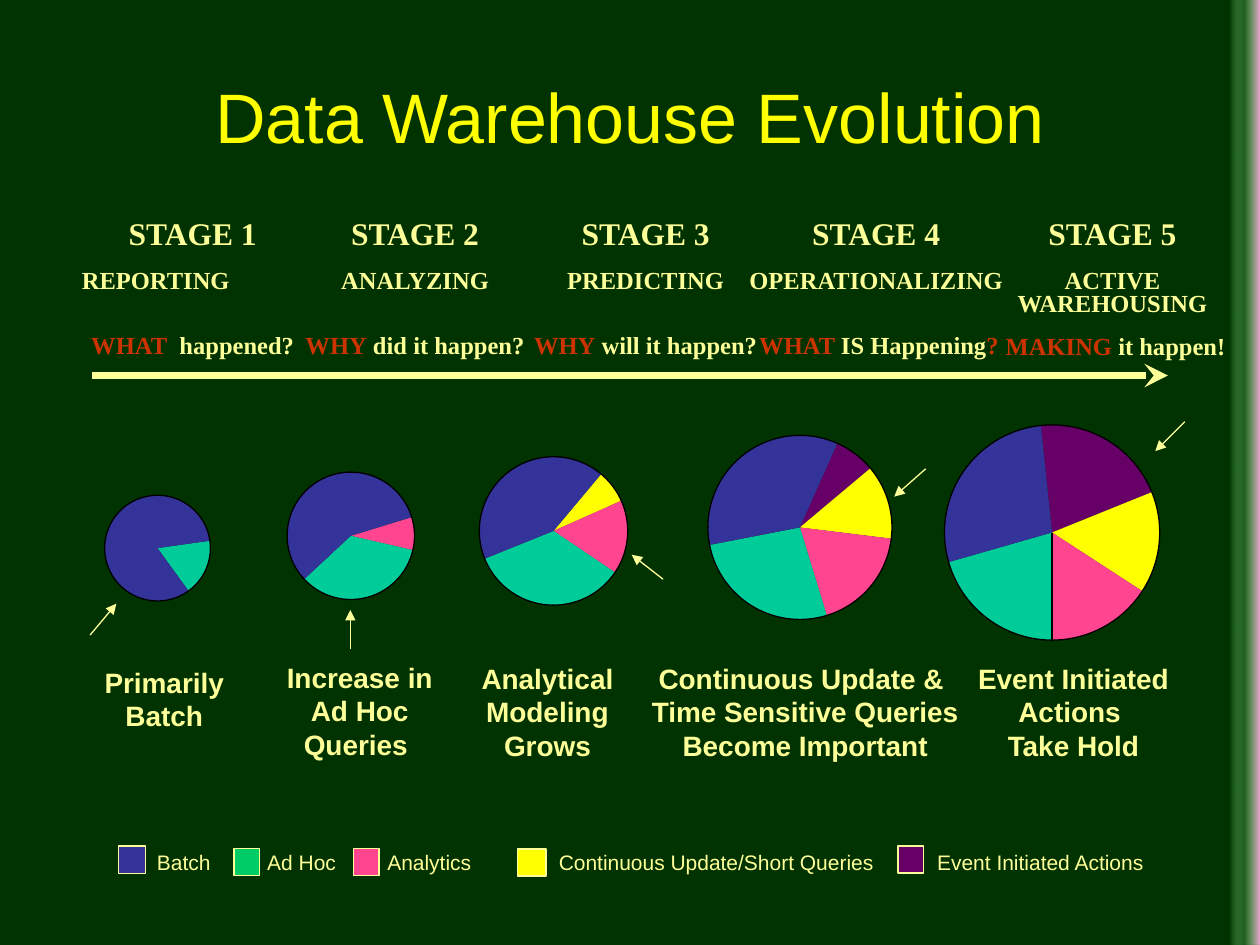
"""Builds the Data Warehouse Evolution slide."""
from lxml.etree import SubElement
from pptx import Presentation
from pptx.dml.color import RGBColor
from pptx.enum.shapes import MSO_CONNECTOR, MSO_SHAPE
from pptx.enum.text import MSO_ANCHOR, PP_ALIGN
from pptx.oxml import parse_xml
from pptx.oxml.ns import nsdecls, qn
from pptx.util import Pt

COLORS = {
    "ground": "003300", "cream": "FFFF99", "title": "FFFF00", "red": "CC3300",
    "batch": "333399", "ad hoc": "00CC99", "ad hoc key": "00CC66",
    "analytics": "FF4590", "update": "FFFF00", "event": "660066", "black": "000000",
}
COLORS = {name: RGBColor.from_string(value) for name, value in COLORS.items()}
STAGE_FONT = {"name": "Times New Roman", "size": Pt(18), "bold": True}
DETAIL_FONT = STAGE_FONT | {"size": Pt(14)}
CAPTION_FONT = {"name": "Arial", "size": Pt(16), "bold": True}
KEY_FONT = {"name": "Arial", "size": Pt(12), "bold": False}
TITLE_FONT = {"name": "Arial", "size": Pt(40), "bold": False}


def add_spans(para, spans, font, align=PP_ALIGN.CENTER):
    para.alignment = align
    for text, color in spans:
        span = para.add_run()
        span.text = text
        span.font.color.rgb = COLORS[color]
        for key, value in font.items():
            setattr(span.font, key, value)


def add_line(start, end, color, width, head=None):
    line = page.shapes.add_connector(MSO_CONNECTOR.STRAIGHT, *map(Pt, start + end))
    line.line.color.rgb = COLORS[color]
    line.line.width = Pt(width)
    if head:
        SubElement(line.line._get_or_add_ln(), qn("a:tailEnd"), type=head)
    SubElement(line._element.spPr, qn("a:effectLst"))


deck = Presentation()
deck.slide_width, deck.slide_height = Pt(720), Pt(540)
page = deck.slides.add_slide(deck.slide_layouts[5])
page.background.fill.solid()
page.background.fill.fore_color.rgb = COLORS["ground"]

title = page.shapes.title
title.left, title.top, title.width, title.height = Pt(54), Pt(18), Pt(612), Pt(96)
title.text_frame.vertical_anchor = MSO_ANCHOR.MIDDLE
add_spans(title.text_frame.paragraphs[0], [("Data Warehouse Evolution", "title")], TITLE_FONT)

band = page.shapes.add_shape(MSO_SHAPE.RECTANGLE, Pt(701.3), 0, Pt(18.7), Pt(540))
band.shadow.inherit = False
band.line.fill.background()
stops = "".join(
    f'<a:gs pos="{place * 1000}"><a:srgbClr val="{color}">'
    f'<a:alpha val="{alpha * 1000}"/></a:srgbClr></a:gs>'
    for place, color, alpha in [(0, "FFA3DF", 100), (50, "99FF99", 20), (94, "003300", 83)]
)
band._element.spPr.find(qn("a:prstGeom")).addnext(parse_xml(
    f'<a:gradFill {nsdecls("a")}><a:gsLst>{stops}</a:gsLst>'
    '<a:lin ang="10800000" scaled="0"/></a:gradFill>'
))

pies = [
    (90, 313.2, 30.2, [("ad hoc", -8), ("batch", 54)]),
    (200.5, 306.2, 36.4, [("analytics", -17), ("ad hoc", 13), ("batch", 137)]),
    (316.3, 303.4, 42.4, [("update", -50), ("analytics", -24), ("ad hoc", 34), ("batch", 158)]),
    (457.1, 301.4, 52.6, [("event", -66), ("update", -40), ("analytics", 7),
                          ("ad hoc", 73), ("batch", 169)]),
    (601.2, 304.3, 61.5, [("event", -96), ("update", -22), ("analytics", 33),
                          ("ad hoc", 90), ("batch", 164)]),
]
for center_x, center_y, radius, slices in pies:
    frame = [Pt(size) for size in (center_x - radius, center_y - radius, 2 * radius, 2 * radius)]
    for index, (kind, start) in enumerate(slices):
        end = slices[(index + 1) % len(slices)][1]
        wedge = page.shapes.add_shape(MSO_SHAPE.PIE, *frame)
        wedge.adjustments[0] = start % 360 * 0.6
        wedge.adjustments[1] = end % 360 * 0.6
        wedge.shadow.inherit = False
        wedge.fill.solid()
        wedge.fill.fore_color.rgb = COLORS[kind]
        wedge.line.fill.background()
    rim = page.shapes.add_shape(MSO_SHAPE.OVAL, *frame)
    rim.shadow.inherit = False
    rim.fill.background()
    rim.line.color.rgb = COLORS["black"]
    rim.line.width = Pt(0.75)
add_line((601.2, 304.3), (601.2, 365.8), "black", 0.75)

captions = [
    (33.8, 376.6, 120.2, ["Primarily Batch"]),
    (154.8, 373.7, 101.5, ["Increase in Ad Hoc Queries "]),
    (258.5, 374.4, 108.7, ["Analytical Modeling", "Grows"]),
    (363.6, 374.4, 193, ["Continuous Update & ", "Time Sensitive Queries Become Important"]),
    (544.3, 374.4, 138.2, ["Event Initiated Actions ", "Take Hold"]),
]
for left, top, width, lines in captions:
    box = page.shapes.add_textbox(Pt(left), Pt(top), Pt(width), Pt(64.8)).text_frame
    box.word_wrap = True
    for index, text in enumerate(lines):
        para = box.add_paragraph() if index else box.paragraphs[0]
        add_spans(para, [(text, "cream")], CAPTION_FONT)

stages = [
    (36, 148.3, "REPORTING", [("WHAT", "red"), ("  happened?", "cream")]),
    (151.9, 170.6, "ANALYZING", [("WHY", "red"), (" did it happen?", "cream")]),
    (294.5, 149, "PREDICTING", [("WHY", "red"), (" will it happen?", "cream")]),
    (415.4, 170.6, "OPERATIONALIZING",
     [(" WHAT ", "red"), ("IS Happening", "cream"), ("?", "red")]),
    (551.5, 168.5, "ACTIVE WAREHOUSING", [(" MAKING", "red"), (" it happen!", "cream")]),
]
for number, (left, width, activity, question) in enumerate(stages, 1):
    box = page.shapes.add_textbox(Pt(left), Pt(123.8), Pt(width), Pt(86.4)).text_frame
    box.word_wrap = True
    rows = [
        ([(f"STAGE {number}", "cream")], STAGE_FONT, 0),
        ([(activity, "cream")], DETAIL_FONT, 12.1),
        (question, DETAIL_FONT, 12.1 if number == 5 else 24.2),
    ]
    for index, (spans, font, gap) in enumerate(rows):
        para = box.add_paragraph() if index else box.paragraphs[0]
        para.line_spacing = 0.75
        para.space_before = Pt(gap)
        shifted = activity == "REPORTING" and index == 1
        add_spans(para, spans, font, PP_ALIGN.LEFT if shifted else PP_ALIGN.CENTER)
        if shifted:
            para._p.get_or_add_pPr().set("marL", str(Pt(3.7)))

add_line((52.6, 214.6), (667.4, 214.6), "cream", 4.5, "stealth")
pointers = [
    ((51.5, 362.9), (66.5, 345)),
    ((200.2, 370.6), (200.2, 348.6)),
    ((378.9, 331), (361, 317)),
    ((529, 267.9), (511, 283.8)),
    ((677, 241), (660.2, 257.8)),
]
for start, end in pointers:
    add_line(start, end, "cream", 0.75, "triangle")

keys = [
    ("Batch", "batch", 67.7, 483.6, 15.5, 89.7),
    ("Ad Hoc", "ad hoc key", 133.7, 484.8, 14.6, 152.7),
    ("Analytics", "analytics", 202, 484.8, 14.6, 221.3),
    ("Continuous Update/Short Queries", "update", 295.7, 485.1, 16.2, 319.3),
    ("Event Initiated Actions", "event", 513.2, 483.3, 14.5, 535.5),
]
for label, kind, left, top, width, text_left in keys:
    swatch = page.shapes.add_shape(MSO_SHAPE.RECTANGLE, Pt(left), Pt(top), Pt(width), Pt(15.5))
    swatch.shadow.inherit = False
    swatch.fill.solid()
    swatch.fill.fore_color.rgb = COLORS[kind]
    swatch.line.color.rgb = COLORS["cream"]
    swatch.line.width = Pt(1)
    box = page.shapes.add_textbox(Pt(text_left), Pt(482), Pt(190), Pt(21.6)).text_frame
    box.word_wrap = True
    box.margin_left = box.margin_right = 0
    box.vertical_anchor = MSO_ANCHOR.MIDDLE
    add_spans(box.paragraphs[0], [(label, "cream")], KEY_FONT, PP_ALIGN.LEFT)

deck.save("out.pptx")
